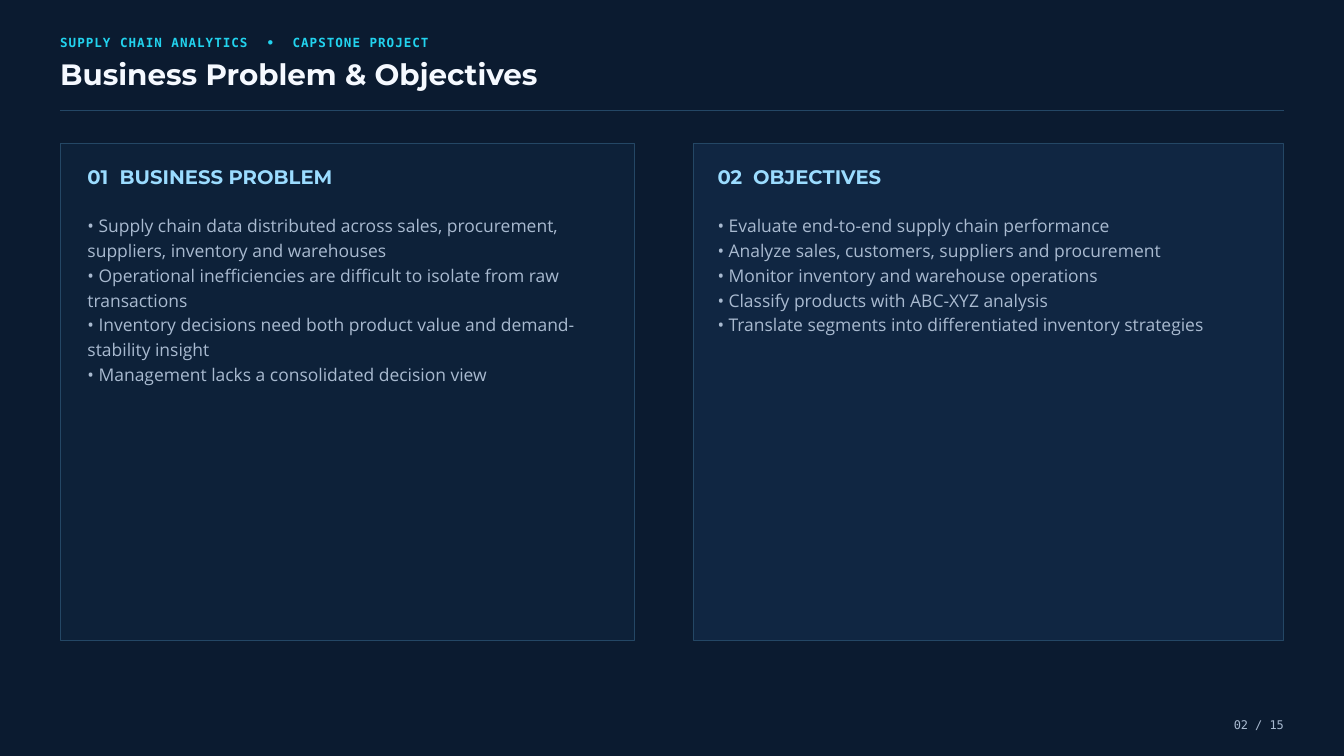
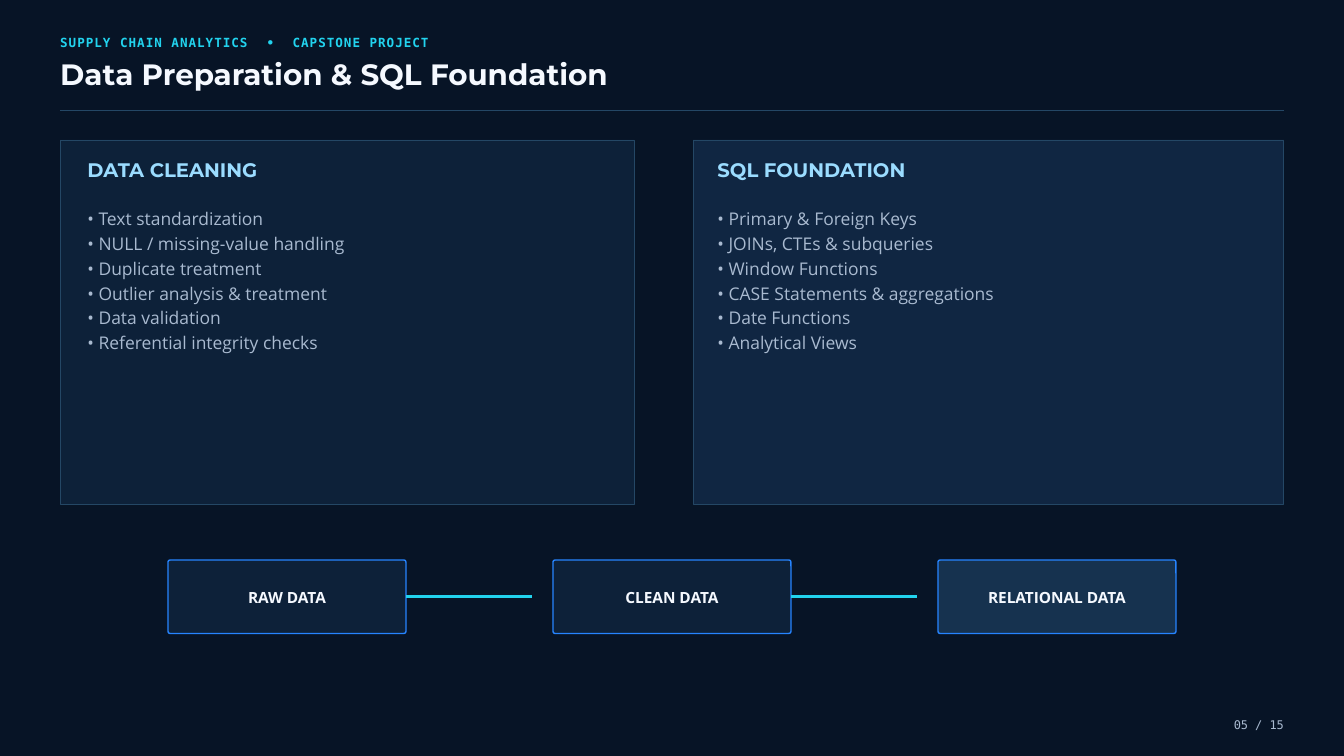
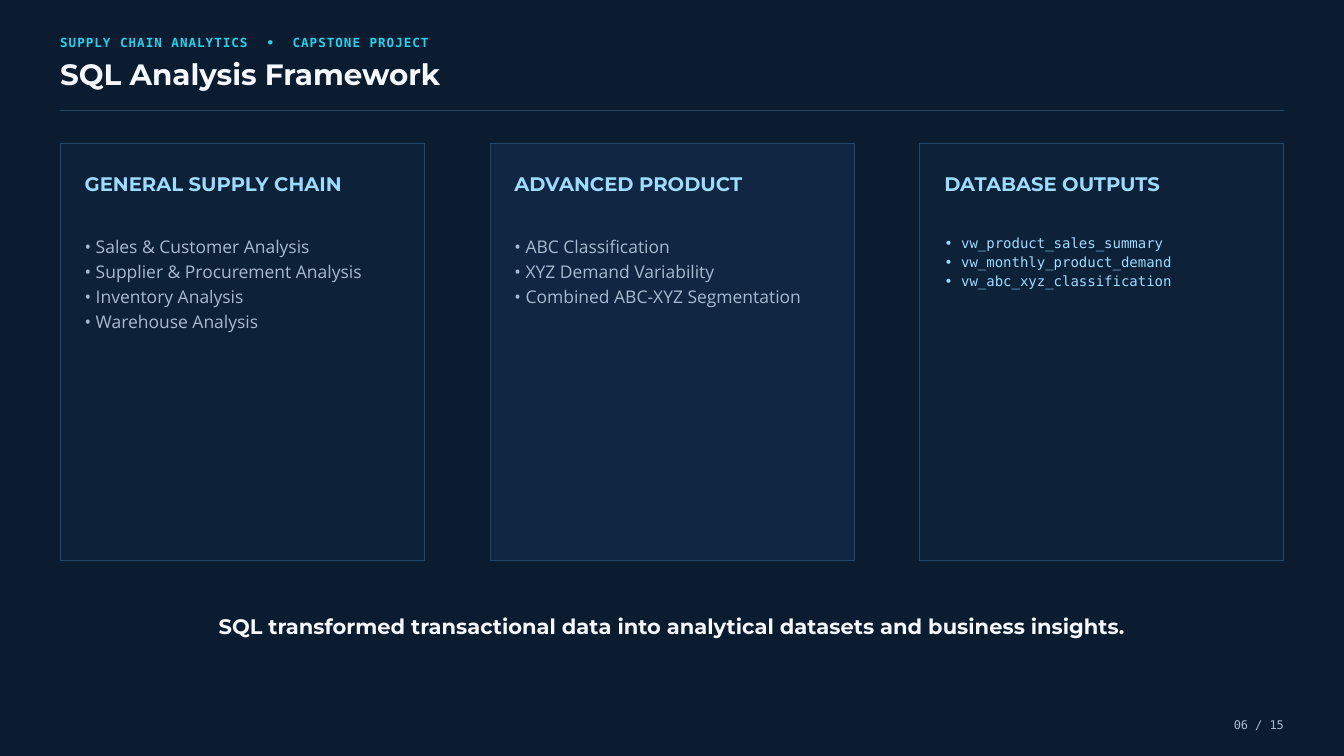
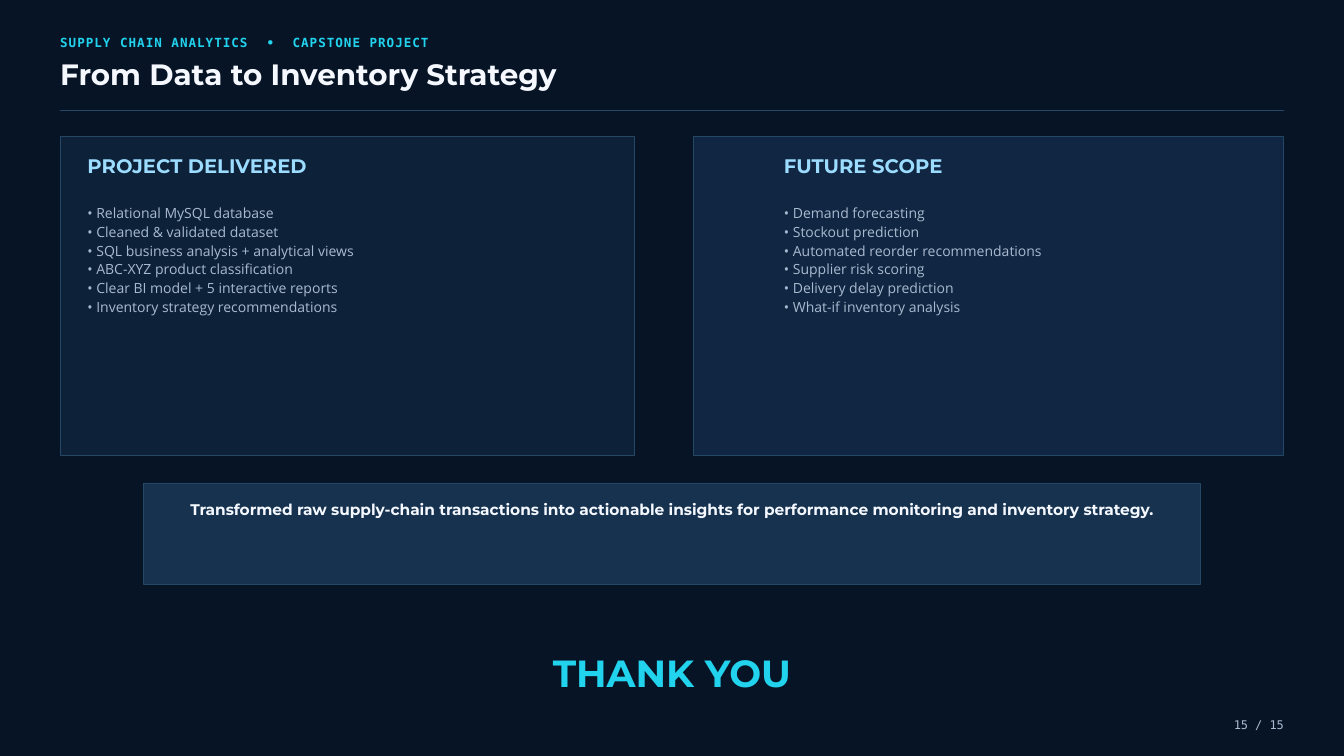
from collections import namedtuple
from dataclasses import dataclass

from lxml import etree
from pptx import Presentation
from pptx import util as u
from pptx.dml.color import RGBColor
from pptx.enum import shapes, text
from pptx.oxml import ns

EMU_PER_PX = 9525  # 96 px to the inch

Box = namedtuple("Box", "left top width height")
Style = namedtuple("Style", "font size leading color bold align spacing",
                   defaults=(False, text.PP_ALIGN.LEFT, 0))
HEAD, BODY, MONO = "Montserrat", "Open Sans", "DejaVu Sans Mono"
CENTER = text.PP_ALIGN.CENTER


@dataclass(frozen=True)
class Theme:
    # Colours
    navy: str = "0B1B30"
    midnight: str = "071426"
    card: str = "0D2139"
    card_alt: str = "102642"
    highlight: str = "16324F"
    rule: str = "244765"
    blue: str = "2684FF"
    cyan: str = "22D3EE"
    # Type: font, size, line height, colour
    eyebrow: Style = Style(MONO, 13.5, 18.9, "22D3EE", True, spacing=110)
    title: Style = Style(HEAD, 31.5, 35.3, "F5F9FF", True)
    page: Style = Style(MONO, 12.75, 17.8, "A9BAD0", align=text.PP_ALIGN.RIGHT)
    heading: Style = Style(HEAD, 21, 25.2, "9BDCFF", True)
    body: Style = Style(BODY, 18.75, 26.6, "A9BAD0")
    small: Style = Style(BODY, 15, 20.2, "A9BAD0")
    code: Style = Style(MONO, 15, 20.2, "9BDCFF")
    step: Style = Style(BODY, 16.5, 23.1, "F5F9FF", True, CENTER)
    message: Style = Style(HEAD, 22.5, 31.5, "F5F9FF", True, CENTER)
    summary: Style = Style(HEAD, 16.5, 20.6, "F5F9FF", True, CENTER)
    thanks: Style = Style(HEAD, 40.5, 56.7, "22D3EE", True, CENTER)


THEME = Theme()
PAGE_W, PAGE_H, MARGIN = 1920, 1080, 86
PAGE_COUNT = 15


def px(length):
    return u.Emu(length * EMU_PER_PX)


def rgb(color):
    return RGBColor.from_string(color)


# Basic parts
def write(frame, lines, style, insets=(0, 0, 0, 0), tabs=(),
          anchor=text.MSO_ANCHOR.TOP):
    frame.word_wrap = True
    frame.auto_size = text.MSO_AUTO_SIZE.NONE
    frame.vertical_anchor = anchor
    (frame.margin_left, frame.margin_top,
     frame.margin_right, frame.margin_bottom) = map(px, insets)
    for i, line in enumerate(lines):
        paragraph = frame.paragraphs[0] if i == 0 else frame.add_paragraph()
        run = paragraph.add_run()
        run.text = line
        paragraph.alignment = style.align
        paragraph.line_spacing = u.Pt(style.leading)
        paragraph.space_before = u.Pt(0)
        if tabs:
            stops = etree.SubElement(paragraph._p.get_or_add_pPr(), ns.qn("a:tabLst"))
            for stop in tabs:
                etree.SubElement(stops, ns.qn("a:tab"), pos=str(px(stop)), algn="l")
        if style.spacing:
            run._r.get_or_add_rPr().set("spc", str(style.spacing))
        font = paragraph.font
        font.name, font.size, font.bold = style.font, u.Pt(style.size), style.bold
        font.color.rgb = rgb(style.color)


def add_label(slide, box, lines, style, tabs=()):
    label = slide.shapes.add_textbox(*map(px, box))
    write(label.text_frame, lines, style, tabs=tabs)


def add_panel(slide, box, fill, outline=THEME.rule, weight=0.75,
              kind=shapes.MSO_SHAPE.RECTANGLE):
    panel = slide.shapes.add_shape(kind, *map(px, box))
    panel.shadow.inherit = False
    panel.fill.solid()
    panel.fill.fore_color.rgb = rgb(fill)
    panel.line.color.rgb = rgb(outline)
    panel.line.width = u.Pt(weight)
    return panel


def add_rule(slide, left, right, y, color, weight):
    rule = slide.shapes.add_connector(
        shapes.MSO_CONNECTOR.STRAIGHT, px(left), px(y), px(right), px(y))
    rule.line.color.rgb = rgb(color)
    rule.line.width = u.Pt(weight)
    etree.SubElement(rule._element.spPr, ns.qn("a:effectLst"))


# Frame shared by all slides
def start_slide(deck, title, number, background):
    slide = deck.slides.add_slide(deck.slide_layouts[5])
    slide.background.fill.solid()
    slide.background.fill.fore_color.rgb = rgb(background)
    heading = slide.shapes.title
    heading.left, heading.top, heading.width, heading.height = map(
        px, (MARGIN, 84, 1500, 49))
    write(heading.text_frame, [title], THEME.title)
    add_label(slide, Box(MARGIN, 46, 900, 24),
              ["SUPPLY CHAIN ANALYTICS\t•\tCAPSTONE PROJECT"],
              THEME.eyebrow, tabs=(295, 332))
    add_rule(slide, MARGIN, PAGE_W - MARGIN, 158, THEME.rule, 1)
    add_label(slide, Box(PAGE_W - MARGIN - 130, 1022, 130, 22),
              [f"{number:02} / {PAGE_COUNT}"], THEME.page)
    return slide


# Card with a heading and a bulleted list
def add_card(slide, box, fill, heading, items, style=THEME.body, inset=35,
             text_width=700, heading_dy=25, list_dy=92, tabs=()):
    add_panel(slide, box, fill)
    left = box.left + inset
    add_label(slide, Box(left, box.top + heading_dy, text_width, 33),
              [heading], THEME.heading, tabs)
    list_height = round(len(items) * style.leading * 96 / 72)
    add_label(slide, Box(left, box.top + list_dy, text_width, list_height),
              [f"• {item}" for item in items], style)


def two_boxes(top, height):
    return Box(MARGIN, top, 820, height), Box(990, top, 844, height)


# Row of process steps joined by lines
def add_flow(slide, box, steps):
    width, pitch = 340, (box.width - 340) // (len(steps) - 1)
    for i, step in enumerate(steps):
        left = box.left + i * pitch
        last = i == len(steps) - 1
        panel = add_panel(slide, Box(left, box.top, width, box.height),
                          THEME.highlight if last else THEME.card,
                          THEME.blue, 1.5, shapes.MSO_SHAPE.ROUNDED_RECTANGLE)
        panel.adjustments[0] = 0.03
        write(panel.text_frame, [step], THEME.step, (6, 4, 6, 8),
              anchor=text.MSO_ANCHOR.MIDDLE)
        if not last:
            add_rule(slide, left + width, left + width + 180,
                     box.top + box.height // 2, THEME.cyan, 3)


# Slides
def problem_slide(deck):
    slide = start_slide(deck, "Business Problem & Objectives", 2, THEME.navy)
    problem, objectives = two_boxes(205, 710)
    offsets = dict(heading_dy=30, list_dy=97)
    add_card(slide, problem, THEME.card, "01\tBUSINESS PROBLEM", [
        "Supply chain data distributed across sales, procurement, "
        "suppliers, inventory and warehouses",
        "Operational inefficiencies are difficult to isolate from raw transactions",
        "Inventory decisions need both product value and demand-stability insight",
        "Management lacks a consolidated decision view",
    ], inset=39, tabs=(46,), **offsets)
    add_card(slide, objectives, THEME.card_alt, "02\tOBJECTIVES", [
        "Evaluate end-to-end supply chain performance",
        "Analyze sales, customers, suppliers and procurement",
        "Monitor inventory and warehouse operations",
        "Classify products with ABC-XYZ analysis",
        "Translate segments into differentiated inventory strategies",
    ], tabs=(51,), **offsets)


def preparation_slide(deck):
    slide = start_slide(deck, "Data Preparation & SQL Foundation", 5, THEME.midnight)
    cleaning, foundation = two_boxes(200, 520)
    add_card(slide, cleaning, THEME.card, "DATA CLEANING", [
        "Text standardization",
        "NULL / missing-value handling",
        "Duplicate treatment",
        "Outlier analysis & treatment",
        "Data validation",
        "Referential integrity checks",
    ], inset=39, text_width=650)
    add_card(slide, foundation, THEME.card_alt, "SQL FOUNDATION", [
        "Primary & Foreign Keys",
        "JOINs, CTEs & subqueries",
        "Window Functions",
        "CASE Statements & aggregations",
        "Date Functions",
        "Analytical Views",
    ], text_width=650)
    add_flow(slide, Box(240, 800, 1440, 105),
             ["RAW DATA", "CLEAN DATA", "RELATIONAL DATA"])


def framework_slide(deck):
    slide = start_slide(deck, "SQL Analysis Framework", 6, THEME.navy)
    columns = [
        ("GENERAL SUPPLY CHAIN", THEME.card, THEME.body, [
            "Sales & Customer Analysis",
            "Supplier & Procurement Analysis",
            "Inventory Analysis",
            "Warehouse Analysis"]),
        ("ADVANCED PRODUCT", THEME.card_alt, THEME.body, [
            "ABC Classification",
            "XYZ Demand Variability",
            "Combined ABC-XYZ Segmentation"]),
        ("DATABASE OUTPUTS", THEME.card, THEME.code, [
            "vw_product_sales_summary",
            "vw_monthly_product_demand",
            "vw_abc_xyz_classification"]),
    ]
    width = 520
    pitch = (PAGE_W - 2 * MARGIN - width) // (len(columns) - 1)
    for i, (heading, fill, style, items) in enumerate(columns):
        add_card(slide, Box(MARGIN + i * pitch, 205, width, 595), fill, heading,
                 items, style, text_width=450, heading_dy=40, list_dy=127)
    add_label(slide, Box(250, 870, 1420, 41),
              ["SQL transformed transactional data into analytical datasets "
               "and business insights."], THEME.message)


def closing_slide(deck):
    slide = start_slide(deck, "From Data to Inventory Strategy", 15, THEME.midnight)
    delivered, future = two_boxes(195, 455)
    add_card(slide, delivered, THEME.card, "PROJECT DELIVERED", [
        "Relational MySQL database",
        "Cleaned & validated dataset",
        "SQL business analysis + analytical views",
        "ABC-XYZ product classification",
        "Clear BI model + 5 interactive reports",
        "Inventory strategy recommendations",
    ], THEME.small, inset=39, text_width=650, list_dy=94)
    add_card(slide, future, THEME.card_alt, "FUTURE SCOPE", [
        "Demand forecasting",
        "Stockout prediction",
        "Automated reorder recommendations",
        "Supplier risk scoring",
        "Delivery delay prediction",
        "What-if inventory analysis",
    ], THEME.small, inset=130, text_width=570, list_dy=94)
    summary = add_panel(slide, Box(205, 690, 1510, 145), THEME.highlight)
    write(summary.text_frame,
          ["Transformed raw supply-chain transactions into actionable insights "
           "for performance monitoring and inventory strategy."],
          THEME.summary, (45, 24, 45, 0))
    add_label(slide, Box(660, 918, 600, 71), ["THANK YOU"], THEME.thanks)


def main():
    deck = Presentation()
    deck.slide_width, deck.slide_height = px(PAGE_W), px(PAGE_H)
    for build in (problem_slide, preparation_slide, framework_slide, closing_slide):
        build(deck)
    deck.save("out.pptx")


if __name__ == "__main__":
    main()
